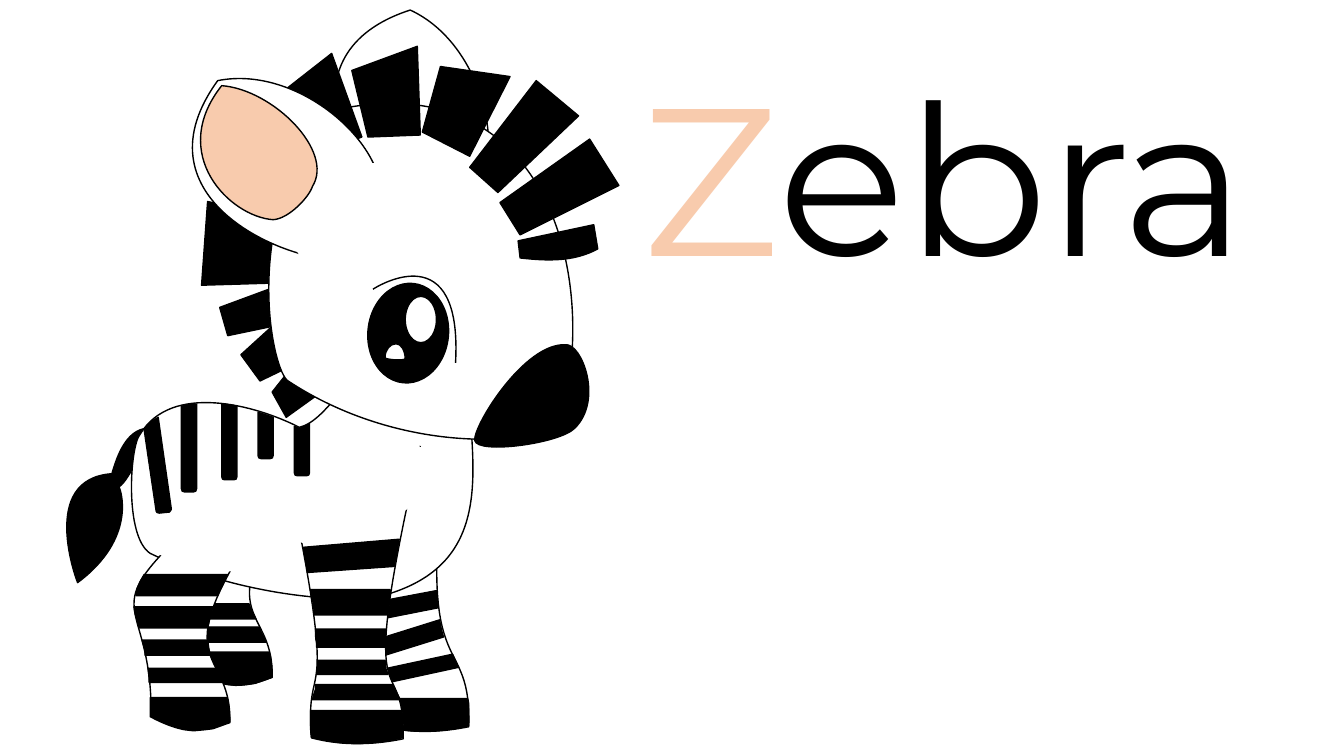
from dataclasses import dataclass
from typing import Optional, Union

from lxml.etree import SubElement
from pptx import Presentation
from pptx.dml.color import RGBColor
from pptx.enum.shapes import MSO_SHAPE
from pptx.enum.text import MSO_ANCHOR, MSO_AUTO_SIZE, PP_ALIGN
from pptx.oxml.ns import qn
from pptx.util import Pt

BLACK = RGBColor(0x00, 0x00, 0x00)
WHITE = RGBColor(0xFF, 0xFF, 0xFF)
PEACH = RGBColor(0xF8, 0xCB, 0xAD)
FONT = "Montserrat"
GRID = 0.72  # points per drawing unit
CURVE_STEPS = 16

# An outline is a start point followed by line ends (x, y)
# and cubic curves (x1, y1, x2, y2, x, y), in drawing units.
Outline = list[tuple[float, ...]]


@dataclass
class Patch:
    outline: Outline
    fill: Optional[RGBColor] = BLACK
    dx: float = 0
    dy: float = 0
    lined: bool = True


@dataclass
class Oval:
    left: float
    top: float
    width: float
    height: float
    fill: RGBColor
    rotation: float = 0


def back_stripe(left: float, bottom: float, top: Outline) -> Patch:
    """Upright stripe with rounded lower corners below the given top edge."""
    right = left + 15
    return Patch(top + [
        (right, bottom - 3), (right, bottom - 1, right - 1, bottom, right - 3, bottom),
        (left + 3, bottom), (left + 1, bottom, left, bottom - 1, left, bottom - 3)])


HIND_LEG = [(277, 511), (212, 496), (142, 566, 193, 555, 192, 666),
            (225, 686, 248, 681, 270, 672), (272, 604, 214, 618, 277, 511)]
HIND_HOOF = [(267, 647), (191, 647), (191, 666), (204, 673, 215, 677, 225, 679), (234, 680),
             (245, 679), (253, 678), (259, 676, 264, 674, 270, 672), (270, 663, 269, 656, 268, 650)]
FRONT_HOOF = [(464, 693), (374, 693), (374, 704), (374, 708, 374, 713, 375, 719),
              (408, 729, 440, 726, 465, 720), (465, 711, 465, 704, 465, 698)]
SHIN_STRIPE = [(257, 622), (180, 622), (180, 627), (179, 629, 179, 631, 178, 633), (177, 637),
               (264, 637), (262, 633), (261, 631, 260, 629, 259, 627)]

FAR_LEGS = [
    Patch(HIND_LEG, WHITE),
    Patch(HIND_HOOF),
    Patch(SHIN_STRIPE),
    Patch(SHIN_STRIPE, dx=-10, dy=-23),
    Patch([(440, 470), (350, 450), (404, 711, 368, 629, 375, 719),
           (408, 729, 440, 726, 465, 721), (468, 624, 415, 683, 440, 470)], WHITE),
    Patch(FRONT_HOOF),
    Patch([(436, 615), (369, 636), (371, 640, 372, 644, 374, 647), (376, 652), (440, 632), (438, 625)]),
    Patch([(433, 586), (364, 599), (366, 604, 367, 607, 368, 611), (369, 616), (435, 603), (434, 596)]),
    Patch([(449, 649), (384, 663), (385, 672), (386, 677), (455, 662), (453, 658)]),
]
FAR_EAR = [Patch([(407, 10), (274, 53, 349, 186, 396, 223), (458, 209),
                  (509, 174, 485, 46, 407, 10)], WHITE)]
NECK_MANE = [
    Patch([(200, 283), (267, 281), (276, 214), (206, 200)]),
    Patch([(226, 333), (274, 323), (272, 285), (218, 305)]),
    Patch([(258, 378), (285, 365), (272, 322), (239, 352)]),
    Patch([(284, 414), (316, 391), (289, 365), (270, 389)]),
]
TAIL = [Patch([(153, 425), (126, 421, 116, 453, 111, 470), (38, 475, 76, 576, 77, 578),
               (136, 534, 120, 486, 118, 483), (130, 476, 142, 433, 154, 454)])]
BODY = [Patch([(466, 406), (363, 372), (338, 379, 322, 418, 297, 424),
               (254, 402, 170, 379, 139, 431), (129, 442, 123, 532, 149, 549),
               (230, 588, 330, 599, 376, 592), (481, 565, 472, 484, 466, 406)], WHITE)]
FACE = [
    Patch([(324, 111), (238, 220, 270, 369, 286, 378), (397, 451, 526, 441, 554, 422),
           (596, 294, 553, 55, 324, 111)], WHITE),
    Patch([(452, 360), (459, 233, 376, 283, 370, 287)], None),
    Oval(365, 281, 80, 99, BLACK, 6),
    Oval(402, 294, 31, 46, WHITE),
    Patch([(402, 356), (402, 348, 398, 341, 393, 341), (387, 341, 382, 347, 382, 355),
           (384, 357, 400, 358, 402, 356)], WHITE),
    Patch([(570, 425), (599, 397, 577, 340, 561, 342), (520, 340, 469, 423, 471, 437),
           (474, 451, 555, 440, 570, 425)]),
]
NEAR_FRONT_LEG = [
    Patch([(417, 443), (284, 462), (339, 723, 302, 642, 309, 732),
           (343, 741, 375, 738, 400, 733), (402, 636, 350, 735, 417, 443)], WHITE),
    Patch(FRONT_HOOF, dx=-66, dy=12),
]
CREST = [
    Patch([(585, 138), (496, 201), (516, 233), (614, 184)]),
    Patch([(532, 80), (466, 166), (494, 191), (574, 115)]),
    Patch([(437, 66), (419, 131), (466, 155), (506, 76)]),
    Patch([(349, 70), (365, 136), (417, 134), (414, 46)]),
    Patch([(274, 96), (309, 154), (359, 136), (329, 53)]),
    Patch([(589, 223), (514, 239), (516, 256), (543, 259, 569, 260, 593, 247)]),
]
NEAR_HIND_LEG = [Patch(HIND_LEG, WHITE, -42, 44), Patch(HIND_HOOF, dx=-42, dy=45)]
NEAR_EAR = [
    Patch([(216, 80), (134, 193, 274, 256, 334, 258), (376, 210), (395, 152, 300, 63, 216, 80)], WHITE),
    Patch([(220, 85), (166, 153, 228, 215, 271, 218), (287, 217, 307, 195, 310, 185),
           (332, 150, 271, 89, 220, 85)], PEACH),
]
# Unlined white patches that hide the joins of ear and legs
JOINS = [
    Patch([(421, 180), (350, 130, 291, 195, 290, 238), (292, 254, 316, 273, 326, 276),
           (361, 296, 419, 231, 421, 180)], WHITE, lined=False),
    Patch([(442, 467), (388, 395, 287, 440, 263, 481), (257, 497, 273, 524, 283, 530),
           (313, 560, 413, 515, 442, 467)], WHITE, lined=False),
    Patch([(267, 559), (266, 490, 186, 475, 154, 491), (143, 499, 141, 522, 144, 530),
           (149, 563, 228, 577, 267, 559)], WHITE, lined=False),
]
NEAR_LEG_STRIPES = [
    Patch([(396, 535), (301, 543), (302, 549, 303, 554, 304, 560), (305, 568), (391, 562), (393, 552)]),
    Patch([(387, 585), (308, 585), (310, 594), (311, 599, 311, 603, 312, 607), (312, 610),
           (384, 610), (385, 603), (385, 599, 386, 594, 387, 590)]),
    Patch([(383, 624), (313, 624), (313, 629, 313, 633, 314, 637), (314, 642), (382, 642), (382, 634)]),
    Patch([(382, 655), (315, 655), (315, 664), (314, 669), (385, 669), (383, 664)]),
    Patch(SHIN_STRIPE, dx=133, dy=57),
    Patch([(226, 570), (143, 570), (139, 577), (138, 579, 137, 582, 136, 584), (135, 591),
           (216, 591), (218, 586)]),
    Patch([(211, 602), (133, 602), (134, 608), (135, 610, 135, 613, 136, 615), (138, 623),
           (206, 623), (208, 614)]),
    Patch([(206, 635), (141, 635), (144, 645), (144, 650), (209, 650), (208, 647, 207, 644, 207, 642)]),
    Patch([(214, 663), (147, 663), (148, 673), (148, 677), (221, 677)]),
]
BACK_STRIPES = [
    back_stripe(180, 488, [(180, 403), (190, 401), (195, 401)]),
    back_stripe(220, 476, [(220, 401), (224, 401), (228, 402, 232, 402, 235, 403)]),
    back_stripe(256, 455, [(256, 409), (259, 410), (271, 414)]),
    Patch([(157, 414), (152, 417), (150, 419, 147, 421, 145, 424), (143, 426), (155, 507),
           (155, 508, 156, 509, 158, 509), (168, 508), (169, 507, 170, 506, 170, 505)]),
    back_stripe(292, 472, [(292, 423), (297, 425), (300, 424, 303, 423, 306, 421), (307, 420)]),
]
ZEBRA: list[Union[Patch, Oval]] = [
    *FAR_LEGS, *FAR_EAR, *NECK_MANE, *TAIL, *BODY, *FACE, *NEAR_FRONT_LEG, *CREST,
    *NEAR_HIND_LEG, *NEAR_EAR, *JOINS, *NEAR_LEG_STRIPES, *BACK_STRIPES]


def flatten(outline: Outline) -> Outline:
    """Points along the outline, from which its extent is measured."""
    points = [outline[0]]
    for step in outline[1:]:
        knots = (points[-1] + step) if len(step) == 6 else None
        if knots is None:
            points.append(step)
            continue
        for i in range(1, CURVE_STEPS + 1):
            t = i / CURVE_STEPS
            weights = ((1 - t) ** 3, 3 * t * (1 - t) ** 2, 3 * t * t * (1 - t), t ** 3)
            points.append(tuple(sum(w * k for w, k in zip(weights, knots[axis::2])) for axis in (0, 1)))
    return points


def style(sp, fill: Optional[RGBColor], lined: bool = True) -> None:
    sp.shadow.inherit = False
    if fill is None:
        sp.fill.background()
    else:
        sp.fill.solid()
        sp.fill.fore_color.rgb = fill
    if lined:
        sp.line.color.rgb = BLACK
        sp.line.width = Pt(1)
    else:
        sp.line.fill.background()


def draw_patch(s, patch: Patch) -> None:
    """Build the shape at its full extent, then give it true curves."""
    points = [(Pt((x + patch.dx) * GRID), Pt((y + patch.dy) * GRID)) for x, y in flatten(patch.outline)]
    builder = s.shapes.build_freeform(*points[0])
    builder.add_line_segments(points[1:], close=False)
    sp = builder.convert_to_shape()
    route = next(sp._element.iter(qn("a:path")))
    for segment in list(route):
        route.remove(segment)
    for i, step in enumerate(patch.outline):
        tag = "a:moveTo" if i == 0 else "a:cubicBezTo" if len(step) == 6 else "a:lnTo"
        segment = SubElement(route, qn(tag))
        for x, y in zip(step[::2], step[1::2]):
            SubElement(segment, qn("a:pt"), x=str(Pt((x + patch.dx) * GRID) - sp.left),
                       y=str(Pt((y + patch.dy) * GRID) - sp.top))
    if patch.fill is not None:
        SubElement(route, qn("a:close"))
    style(sp, patch.fill, patch.lined)


def draw_oval(s, oval: Oval) -> None:
    box = [Pt(v * GRID) for v in (oval.left, oval.top, oval.width, oval.height)]
    sp = s.shapes.add_shape(MSO_SHAPE.OVAL, *box)
    sp.rotation = oval.rotation
    style(sp, oval.fill)


def write_title(s) -> None:
    title = s.shapes.title
    title.left, title.top, title.width, title.height = Pt(451.4), Pt(29.5), Pt(510.5), Pt(189.4)
    tf = title.text_frame
    tf.word_wrap = True
    tf.auto_size = MSO_AUTO_SIZE.SHAPE_TO_FIT_TEXT
    tf.vertical_anchor = MSO_ANCHOR.TOP
    p = tf.paragraphs[0]
    p.alignment = PP_ALIGN.LEFT
    p.line_spacing = 1.0
    for text, color in (("Z", PEACH), ("ebra", BLACK)):
        r = p.add_run()
        r.text = text
        r.font.name = FONT
        r.font.size = Pt(150)
        r.font.color.rgb = color
    initial = p.runs[0].font
    edge = SubElement(initial._element, qn("a:ln"), w=str(Pt(0.75)))
    SubElement(SubElement(edge, qn("a:solidFill")), qn("a:srgbClr"), val=str(BLACK))
    initial._element.insert(0, edge)


def main() -> None:
    prs = Presentation()
    prs.slide_width, prs.slide_height = Pt(960), Pt(540)
    s = prs.slides.add_slide(prs.slide_layouts[5])
    write_title(s)
    for part in ZEBRA:
        (draw_oval if isinstance(part, Oval) else draw_patch)(s, part)
    prs.save("out.pptx")


if __name__ == "__main__":
    main()
